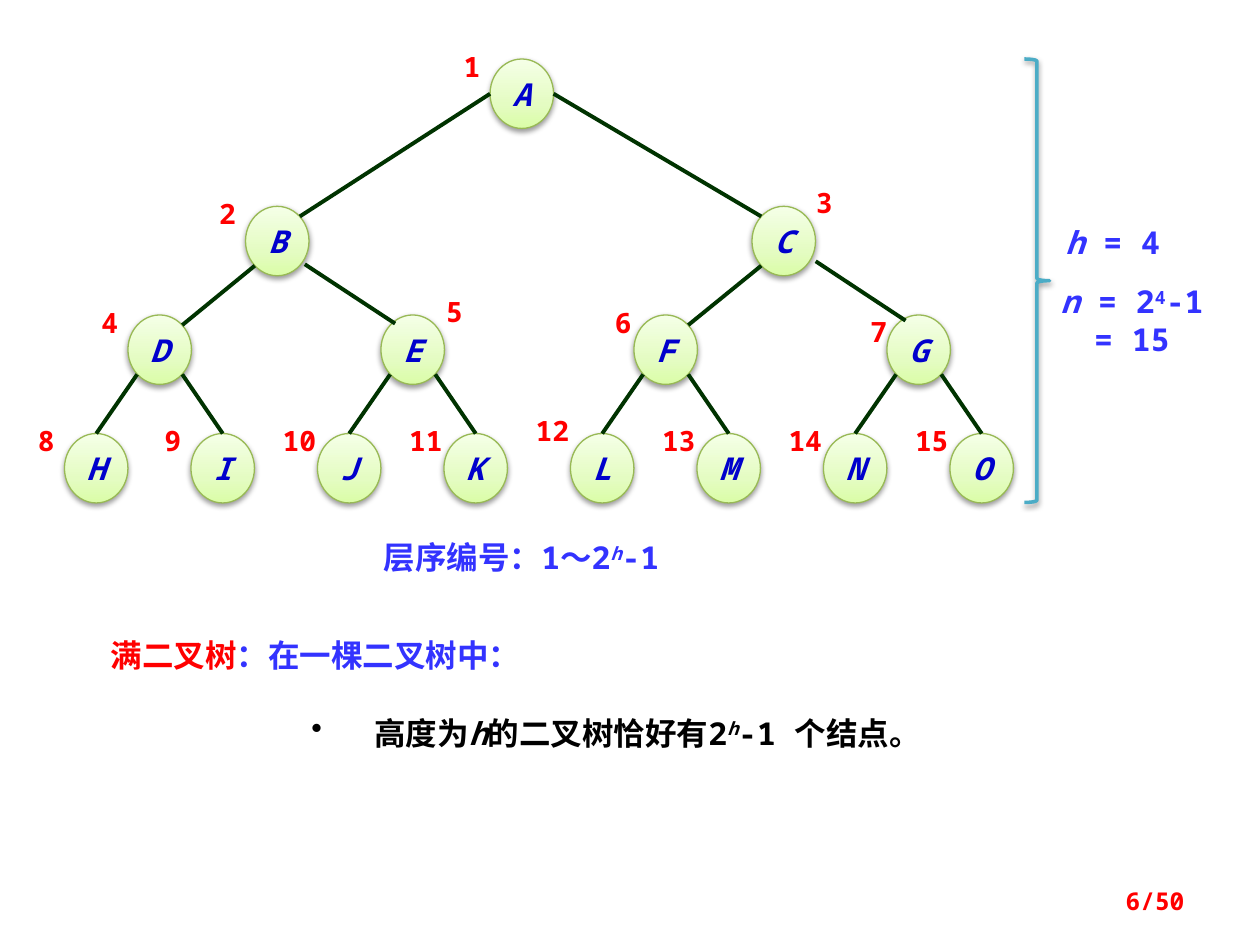
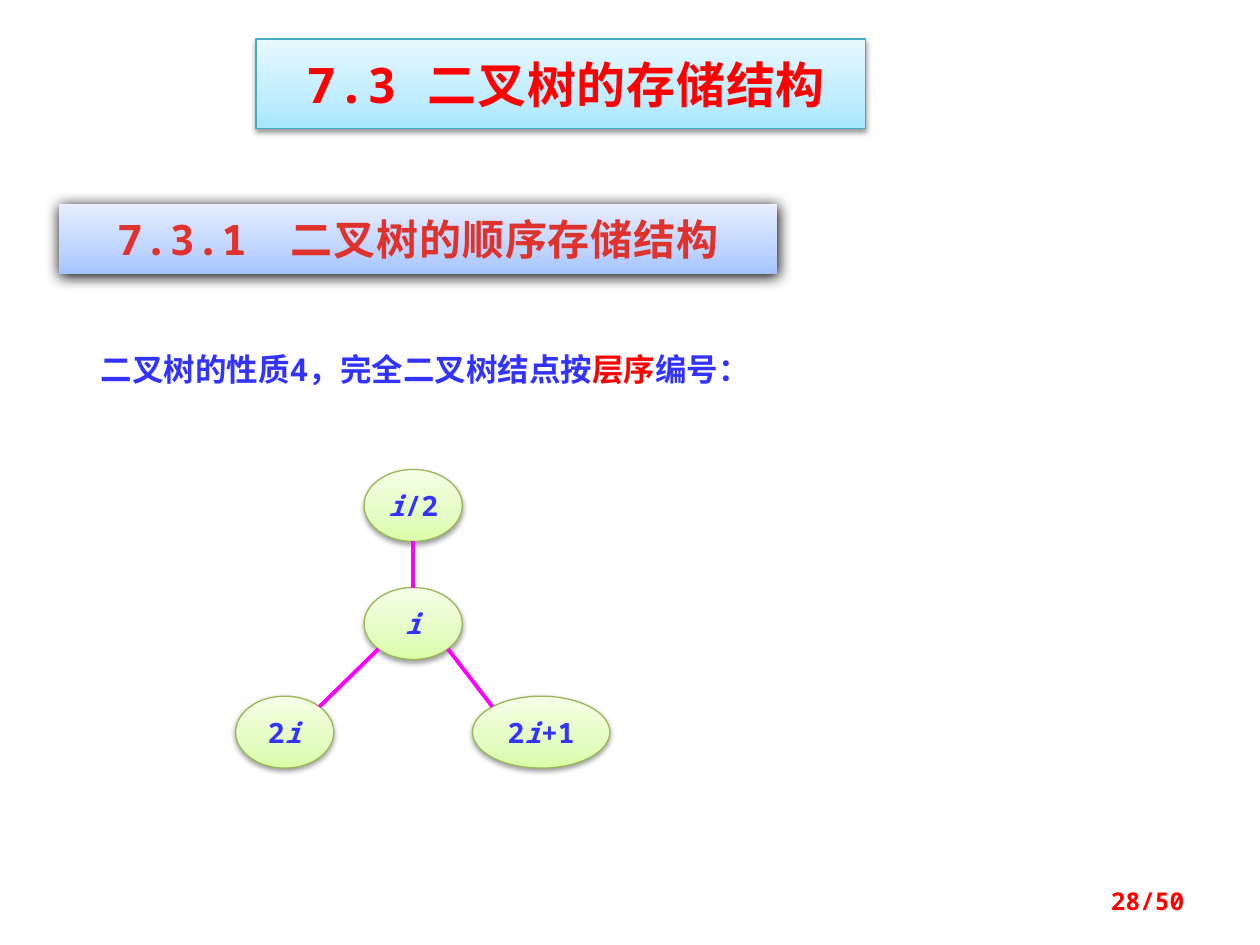
from dataclasses import dataclass

from lxml import etree
from pptx import Presentation
from pptx import util as u
from pptx.dml.color import RGBColor
from pptx.enum import shapes, text
from pptx.oxml.ns import qn

FONT = "Noto Sans Mono"
RED, BLUE, NAVY, BLACK = "FF0000", "3333FF", "0000CC", "000000"
BRANCH, LINK, TEAL = "003300", "FF00FF", "4BACC6"
GREEN_FILL, GREEN_LINE = ("DAFDA7", "E4FCC2", "F5FFE7"), "98B955"
CYAN_FILL, CYAN_LINE = ("A7E6FF", "C1EDFF", "E7F8FF"), "46AAC5"
BLUE_FILL, HEADING_RED = ("A4C4FF", "BFD4FF", "E6EEFF"), "E0322D"
SOFT_SHADOW, STRONG_SHADOW = (38, 3.1, 1.6), (100, 8.5, 1)  # opacity %, blur pt, distance pt
PAGES = 50
DEFAULT_INSETS = (0.25, 0.13, 0.25, 0.13)
LEFT, CENTER, RIGHT = text.PP_ALIGN.LEFT, text.PP_ALIGN.CENTER, text.PP_ALIGN.RIGHT
TOP, MIDDLE = text.MSO_ANCHOR.TOP, text.MSO_ANCHOR.MIDDLE


@dataclass
class Node:
    """An ellipse given by its centre and size in centimetres."""
    cx: float
    cy: float
    w: float = 1.28
    h: float = 1.4

    def site(self, dx, dy):
        """Return the point on the rim in the direction (dx, dy)."""
        k = 0.71 if dx and dy else 1
        return self.cx + dx * k * self.w / 2, self.cy + dy * k * self.h / 2


def rgb(value):
    """Turn a hex string into a colour."""
    return RGBColor.from_string(value)


def box(at):
    """Turn left, top, width and height in centimetres into lengths."""
    return [u.Cm(v) for v in at]


def add_child(parent, tag, **attrs):
    """Append a DrawingML element to its parent."""
    child = etree.SubElement(parent, qn(tag))
    for name, value in attrs.items():
        child.set(name, str(value))
    return child


def set_gradient(sp, colours):
    """Fill a shape upwards with three colours."""
    sp.fill.gradient()
    sp.fill.gradient_angle = 90
    stops = sp._element.spPr.find(".//" + qn("a:gsLst"))
    for stop in list(stops):
        stops.remove(stop)
    for pos, colour in zip((0, 35, 100), colours):
        stop = add_child(stops, "a:gs", pos=pos * 1000)
        add_child(stop, "a:srgbClr", val=colour)


def set_shadow(sp, shadow):
    """Give a shape a shadow that falls straight down."""
    opacity, blur, dist = shadow
    sp.shadow.inherit = False
    effects = sp._element.spPr.find(qn("a:effectLst"))
    outer = add_child(effects, "a:outerShdw", blurRad=u.Pt(blur), dist=u.Pt(dist),
                      dir=5400000, rotWithShape=0)
    colour = add_child(outer, "a:srgbClr", val=BLACK)
    add_child(colour, "a:alpha", val=opacity * 1000)


def set_line(sp, colour, width=0.75):
    """Set an outline, or none when the colour is None."""
    if colour is None:
        sp.line.fill.background()
    else:
        sp.line.color.rgb = rgb(colour)
        sp.line.width = u.Pt(width)


def write(sp, paragraphs, size, colour, align=LEFT, anchor=TOP,
          insets=DEFAULT_INSETS, grow=True, spacing=None):
    """Write paragraphs of runs (text, flags, colour); flag i is italic, ^ is raised."""
    tf = sp.text_frame
    tf.word_wrap = True
    tf.vertical_anchor = anchor
    tf.margin_left, tf.margin_top, tf.margin_right, tf.margin_bottom = box(insets)
    if grow:
        tf.auto_size = text.MSO_AUTO_SIZE.SHAPE_TO_FIT_TEXT
    for n, runs in enumerate(paragraphs):
        p = tf.add_paragraph() if n else tf.paragraphs[0]
        p.alignment = align
        p.font.name, p.font.size, p.font.bold = FONT, u.Pt(size), True
        p.font.color.rgb = rgb(colour)
        for words, flags, own in ((*run, "", None)[:3] if len(run) < 3 else run for run in runs):
            r = p.add_run()
            r.text = words
            if "i" in flags:
                r.font.italic = True
            if own:
                r.font.color.rgb = rgb(own)
            rPr = r._r.get_or_add_rPr()
            if "^" in flags:
                rPr.set("baseline", "30000")
            if spacing:
                rPr.set("spc", str(spacing))


def add_text(parent, at, paragraphs, size=18, colour=BLUE, **style):
    """Add a text box."""
    sp = parent.shapes.add_textbox(*box(at))
    write(sp, paragraphs, size, colour, **style)
    return sp


def add_panel(parent, kind, at, fill, line, shadow):
    """Add a preset shape with a gradient, an outline and a shadow."""
    sp = parent.shapes.add_shape(kind, *box(at))
    set_gradient(sp, fill)
    set_line(sp, line)
    set_shadow(sp, shadow)
    return sp


def add_node(parent, node, runs, size, colour):
    """Add a green tree node."""
    at = (node.cx - node.w / 2, node.cy - node.h / 2, node.w, node.h)
    sp = add_panel(parent, shapes.MSO_SHAPE.OVAL, at, GREEN_FILL, GREEN_LINE, SOFT_SHADOW)
    write(sp, [runs], size, colour, align=CENTER, anchor=MIDDLE,
          insets=(0, 0.13, 0, 0.13), grow=False)


def add_edge(parent, start, end, colour):
    """Add a straight line between two points."""
    cn = parent.shapes.add_connector(shapes.MSO_CONNECTOR.STRAIGHT, *box((*start, *end)))
    set_line(cn, colour, 2.25)
    add_child(cn._element.spPr, "a:effectLst")


def add_heading(s, at, words, size, colour, fill, line, shadow, insets):
    """Add a heading band."""
    sp = add_panel(s, shapes.MSO_SHAPE.RECTANGLE, at, fill, line, shadow)
    write(sp, [[(words,)]], size, colour, align=CENTER, insets=insets, spacing=50)


def add_bullet(p):
    """Make a paragraph a bullet with a hanging indent and 30 pt lines."""
    p.line_spacing = u.Pt(30)
    pPr = p._p.get_or_add_pPr()
    pPr.set("marL", str(u.Cm(1.27)))
    pPr.set("indent", str(u.Cm(-1.27)))
    bullet = etree.Element(qn("a:buChar"))
    bullet.set("char", "•")
    pPr.find(qn("a:defRPr")).addprevious(bullet)


def new_slide(prs, number):
    """Add a blank slide with its page number."""
    s = prs.slides.add_slide(prs.slide_layouts[6])
    add_text(s, (18.21, 17.65, 5.92, 1.02), [[(f"{number}/{PAGES}",)]], 14, RED,
             align=RIGHT, anchor=MIDDLE, grow=False)
    return s


def add_full_tree(s):
    """Draw the full binary tree of 15 nodes numbered level by level."""
    rows = (
        (1.89, (10.52,)),
        (4.86, (5.59, 15.8)),
        (7.05, [3.22 + 5.1 * n for n in range(4)]),
        (9.44, [1.94 + 2.55 * n for n in range(8)]),
    )
    nodes = [Node(cx, cy) for cy, row in rows for cx in row]
    label_offsets = {3: (0.91, -0.41), 5: (0.94, -0.41), 6: (-0.76, -0.2),
                     7: (-0.71, 0), 12: (-0.91, -0.41)}
    edge_shifts = {5: (0.1, -0.03), 7: (0.19, -0.09)}
    grp = s.shapes.add_group_shape()
    for number, (name, node) in enumerate(zip("ABCDEFGHIJKLMNO", nodes), 1):
        add_node(grp, node, [(name, "i")], 18, NAVY)
        dx, dy = label_offsets.get(number, (-0.91, -0.2))
        at = (node.cx - node.w / 2 + dx, node.cy - node.h / 2 + dy, 1.09, 0.69)
        add_text(grp, at, [[(str(number),)]], 16, RED, align=CENTER, insets=(0, 0, 0, 0))
    for number, node in enumerate(nodes[1:], 2):
        side = 1 if number % 2 else -1
        start = nodes[number // 2 - 1].site(side, 0 if number < 4 else 1)
        end = node.site(0 if number > 7 else -side, -1)
        sx, sy = edge_shifts.get(number, (0, 0))
        add_edge(grp, (start[0] + sx, start[1] + sy), (end[0] + sx, end[1] + sy), BRANCH)


def full_tree_slide(prs):
    """Build the slide on full binary trees."""
    s = new_slide(prs, 6)
    add_full_tree(s)
    brace = s.shapes.add_shape(shapes.MSO_SHAPE.RIGHT_BRACE, *box((20.65, 1.19, 0.51, 8.94)))
    brace.fill.background()
    set_line(brace, TEAL, 2)
    set_shadow(brace, SOFT_SHADOW)
    add_text(s, (21.23, 4.37, 2.97, 1.02), [[("h ", "i"), ("= 4",)]])
    add_text(s, (21.03, 5.56, 3.58, 1.8),
             [[("n ", "i"), ("= 2",), ("4", "^"), ("-1",)], [("= 15",)]], align=CENTER)
    add_text(s, (6.35, 10.72, 8.33, 1.02),
             [[("层序编号：1～2",), ("h", "i^"), ("-1",)]], align=CENTER)
    add_text(s, (1.98, 12.7, 14.1, 1.02),
             [[("满二叉树", "", RED), ("：在一棵二叉树中：",)]])
    rule = add_text(s, (5.77, 13.89, 13.11, 1.47),
                    [[("高度为",), ("h", "i"), ("的二叉树恰好有2",), ("h", "i^"),
                      ("-1 个结点。",)]],
                    colour=BLACK, insets=(0.51, 0.2, 0.25, 0.2))
    rule.fill.solid()
    rule.fill.fore_color.rgb = rgb("FFFFFF")
    add_bullet(rule.text_frame.paragraphs[0])


def storage_slide(prs):
    """Build the slide on sequential storage."""
    s = new_slide(prs, 28)
    add_heading(s, (5.16, 0.79, 12.29, 1.8), "7.3 二叉树的存储结构", 28, RED,
                CYAN_FILL, CYAN_LINE, SOFT_SHADOW, (0.46, 0.3, 0.25, 0.3))
    add_heading(s, (1.19, 4.11, 14.48, 1.42), "7.3.1\u3000二叉树的顺序存储结构", 24, HEADING_RED,
                BLUE_FILL, None, STRONG_SHADOW, (0.25, 0.2, 0.25, 0.2))
    add_text(s, (1.78, 6.93, 14.68, 1.02),
             [[("二叉树的性质4，完全二叉树结点按",), ("层序", "", RED), ("编号：",)]])
    w, h = 1.98, 1.45
    parent, node = Node(8.33, 10.19, w, h), Node(8.33, 12.57, w, h)
    left, right = Node(5.74, 14.76, w, h), Node(10.91, 14.76, 2.77, h)
    grp = s.shapes.add_group_shape()
    for item, runs in ((parent, [("i", "i"), ("/2",)]),
                       (node, [("i", "i")]),
                       (left, [("2",), ("i", "i")]),
                       (right, [("2",), ("i", "i"), ("+1",)])):
        add_node(grp, item, runs, 16, BLUE)
    add_edge(grp, parent.site(0, 1), node.site(0, -1), LINK)
    for child, side in ((left, -1), (right, 1)):
        add_edge(grp, node.site(side, 1), child.site(-side, -1), LINK)


def main():
    """Build and save the presentation."""
    prs = Presentation()
    prs.slide_width, prs.slide_height = u.Cm(25.4), u.Cm(19.05)
    full_tree_slide(prs)
    storage_slide(prs)
    prs.save("out.pptx")


main()
